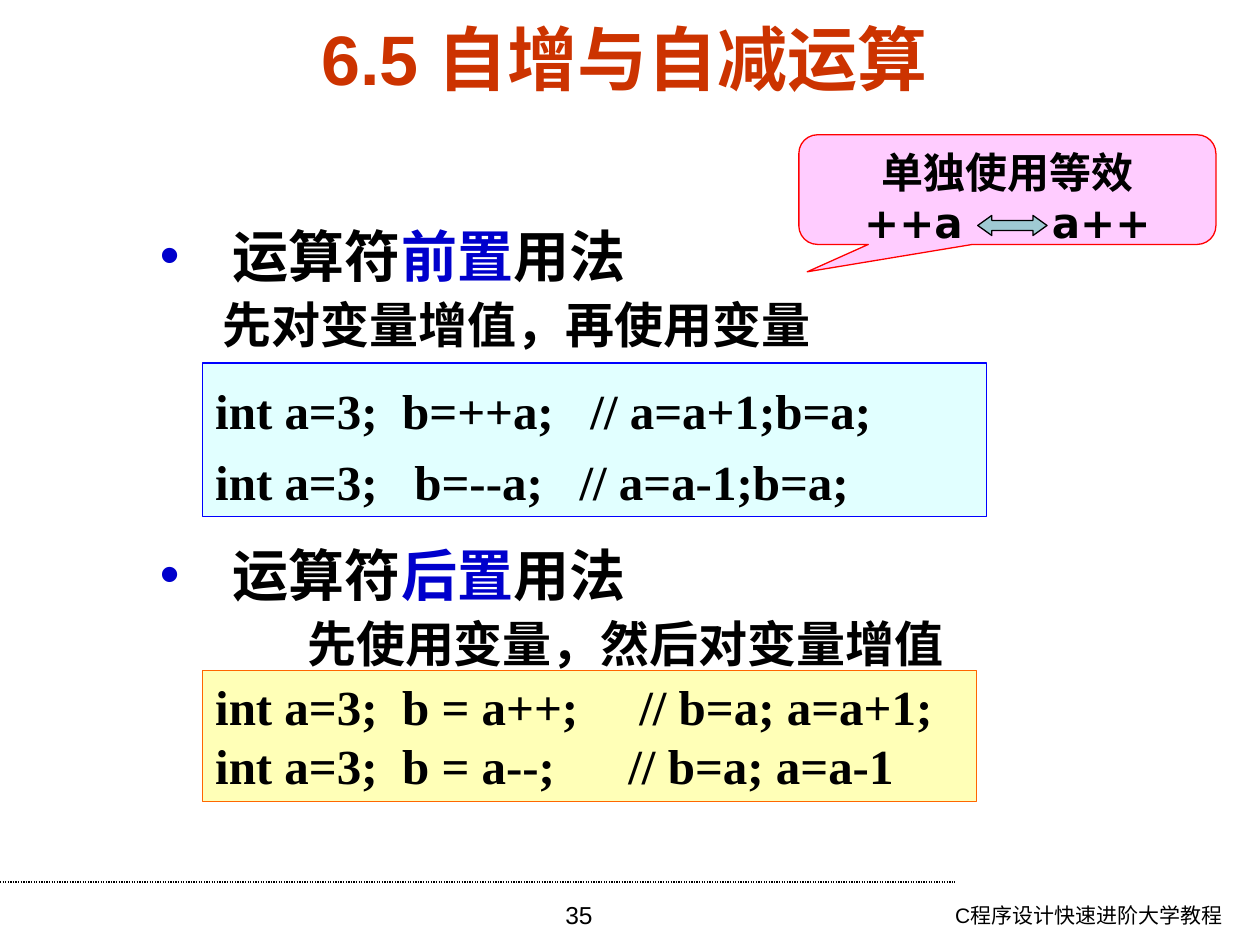
from pptx import Presentation
from pptx.dml.color import RGBColor
from pptx.enum.dml import MSO_LINE
from pptx.enum.shapes import MSO_CONNECTOR, MSO_SHAPE
from pptx.enum.text import MSO_ANCHOR, MSO_AUTO_SIZE, PP_ALIGN
from pptx.oxml.ns import qn
from pptx.util import Inches, Pt
from lxml import etree

RECT, CALLOUT, ARROW = MSO_SHAPE.RECTANGLE, MSO_SHAPE.ROUNDED_RECTANGULAR_CALLOUT, MSO_SHAPE.LEFT_RIGHT_ARROW
LEFT, CENTER, RIGHT = PP_ALIGN.LEFT, PP_ALIGN.CENTER, PP_ALIGN.RIGHT
TOP, MIDDLE = MSO_ANCHOR.TOP, MSO_ANCHOR.MIDDLE

THEME = {
    "ink": "000000", "title": "CC3300", "accent": "0000CC",
    "prefix_fill": "CCFFFF", "prefix_line": "0000FF",
    "postfix_fill": "FFFF99", "postfix_line": "FF6600",
    "callout_fill": "FFCCFF", "callout_line": "FF0000", "arrow": "9FCAD3",
    "sans": "Arial", "serif": "Times New Roman", "cjk": "Noto Sans CJK SC", "callout": "DejaVu Sans",
    "title_size": 40, "head_size": 32, "body_size": 28, "callout_size": 24, "page_size": 14, "footer_size": 12,
    "arrow_gap": 42.5,
}

prs = Presentation()
prs.slide_width, prs.slide_height = Inches(10), Inches(7.5)
col, row = prs.slide_width / 100, prs.slide_height / 75


def cells(left, top, width, height):
    return int(left * col), int(top * row), int(width * col), int(height * row)


def write(tf, text, size, font, color="ink", bold=True, align=LEFT, spacing=None,
          before=0, margin=0, indent=0, bullet=False, first=True):
    p = tf.paragraphs[0] if first else tf.add_paragraph()
    p.alignment, p.line_spacing, p.space_before = align, spacing, Pt(before)
    pPr = p._p.get_or_add_pPr()
    pPr.set("marL", str(int(margin * col)))
    pPr.set("indent", str(int(indent * col)))
    if bullet:
        clr = etree.SubElement(pPr, qn("a:buClr"))
        etree.SubElement(clr, qn("a:srgbClr"), val=THEME["accent"])
        etree.SubElement(pPr, qn("a:buFont"), typeface=THEME["sans"])
        etree.SubElement(pPr, qn("a:buChar"), char="•")
    for i, part in enumerate(text.split("|")):
        r = p.add_run()
        r.text = part
        r.font.name, r.font.size, r.font.bold = THEME[font], Pt(THEME[size]), bold
        r.font.color.rgb = RGBColor.from_string(THEME["accent" if i == 1 else color])
        etree.SubElement(r._r.get_or_add_rPr(), qn("a:ea"), typeface=THEME["cjk"])
    return p


s = prs.slides.add_slide(prs.slide_layouts[5])

title = s.shapes.title
title.left, title.top, title.width, title.height = cells(4.3, 2.1, 90.5, 5)
tf = title.text_frame
tf.auto_size, tf.vertical_anchor = MSO_AUTO_SIZE.NONE, MIDDLE
write(tf, "6.5 自增与自减运算", "title_size", "sans", "title", align=CENTER)

rule = s.shapes.add_connector(MSO_CONNECTOR.STRAIGHT, 0, int(70 * row), int(75.8 * col), int(70 * row))
rule.line.width, rule.line.dash_style = Pt(0.75), MSO_LINE.ROUND_DOT
rule.line.color.rgb = RGBColor.from_string(THEME["ink"])
etree.SubElement(rule._element.spPr, qn("a:effectLst"))

for area, text, size, align in [
    ((65.7, 71.1, 32.3, 3.9), "C程序设计快速进阶大学教程", "footer_size", RIGHT),
    ((34.3, 70.9, 23.3, 4.1), "35", "page_size", CENTER),
]:
    tf = s.shapes.add_textbox(*cells(*area)).text_frame
    tf.word_wrap = True
    write(tf, text, size, "sans", bold=False, align=align)

for top, head, note, margin in [
    (17.1, "运算符|前置|用法", "先对变量增值，再使用变量", 10),
    (42.4, "运算符|后置|用法", "先使用变量，然后对变量增值", 16.7),
]:
    tf = s.shapes.add_textbox(*cells(6.7, top, 87.3, 12)).text_frame
    tf.word_wrap = True
    write(tf, head, "head_size", "cjk", margin=10.8, indent=-5.8, bullet=True)
    write(tf, note, "body_size", "serif", spacing=0.9, before=7, margin=margin, first=False)

shapes = {}
for name, kind, area, fill, line, alpha, adjustments in [
    ("prefix", RECT, (16.1, 28.8, 62.2, 12.2), "prefix_fill", "prefix_line", 58, ()),
    ("postfix", RECT, (16.1, 53.2, 61.4, 10.4), "postfix_fill", "postfix_line", 70, ()),
    ("callout", CALLOUT, (63.4, 10.7, 33.1, 8.7), "callout_fill", "callout_line", 100, (-0.48, 0.75, 0.17)),
    ("arrow", ARROW, (77.6, 17.1, 5.5, 1.6), "arrow", "ink", 100, (0.5, 0.7)),
]:
    sp = shapes[name] = s.shapes.add_shape(kind, *cells(*area))
    sp.shadow.inherit = False
    sp.fill.solid()
    sp.fill.fore_color.rgb = RGBColor.from_string(THEME[fill])
    sp.line.color.rgb, sp.line.width = RGBColor.from_string(THEME[line]), Pt(0.75)
    if alpha < 100:
        clr = sp._element.spPr.find(qn("a:solidFill")).find(qn("a:srgbClr"))
        etree.SubElement(clr, qn("a:alpha"), val=str(alpha * 1000))
    for i, value in enumerate(adjustments):
        sp.adjustments[i] = value
    sp.text_frame.word_wrap, sp.text_frame.vertical_anchor = True, TOP

for name, spacing, lines in [
    ("prefix", 1.2, ["int a=3;  b=++a;   // a=a+1;b=a;", "int a=3;   b=--a;   // a=a-1;b=a;"]),
    ("postfix", None, ["int a=3;  b = a++;     // b=a; a=a+1;", "int a=3;  b = a--;      // b=a; a=a-1"]),
]:
    for i, text in enumerate(lines):
        write(shapes[name].text_frame, text, "body_size", "serif", spacing=spacing, first=i == 0)

tf = shapes["callout"].text_frame
write(tf, "单独使用等效", "callout_size", "callout", align=CENTER)
p = write(tf, "++a| |a++", "callout_size", "callout", align=CENTER, first=False)
p.runs[1].font._element.set("spc", str(int(THEME["arrow_gap"] * 100)))

prs.save("out.pptx")
